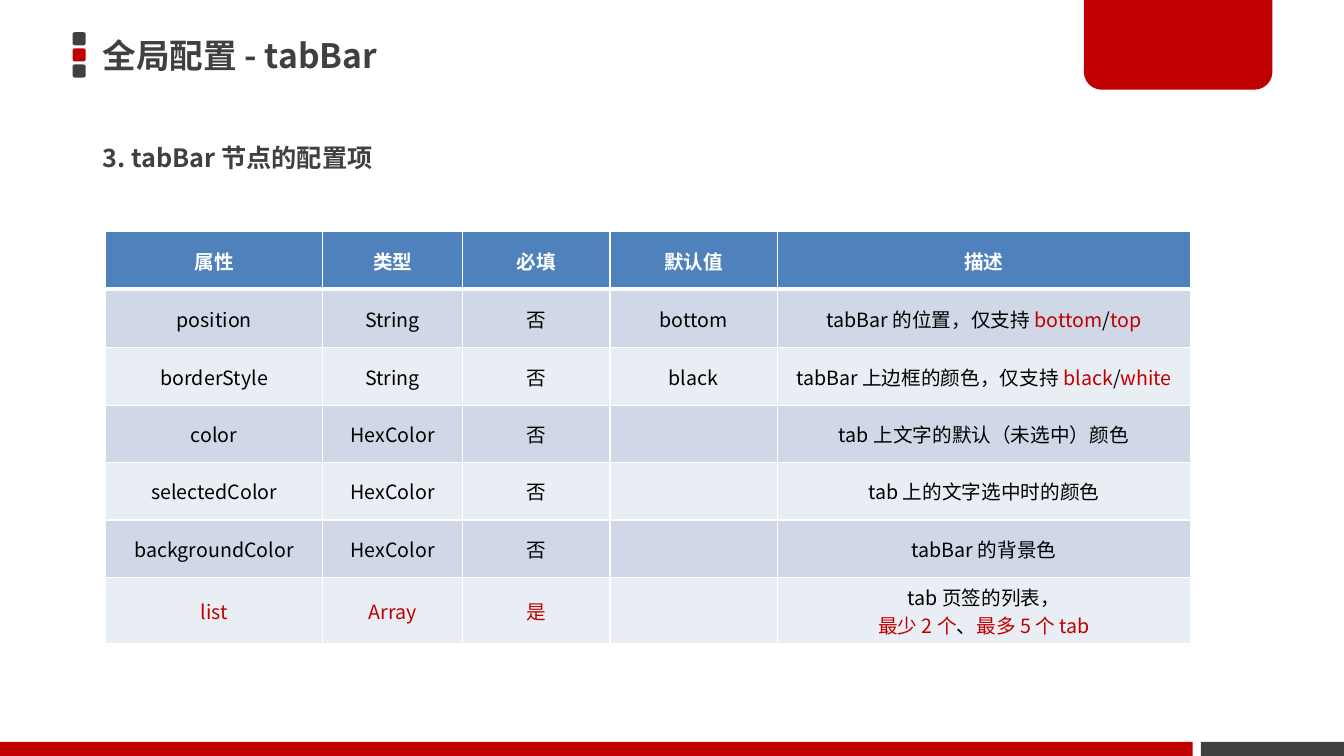
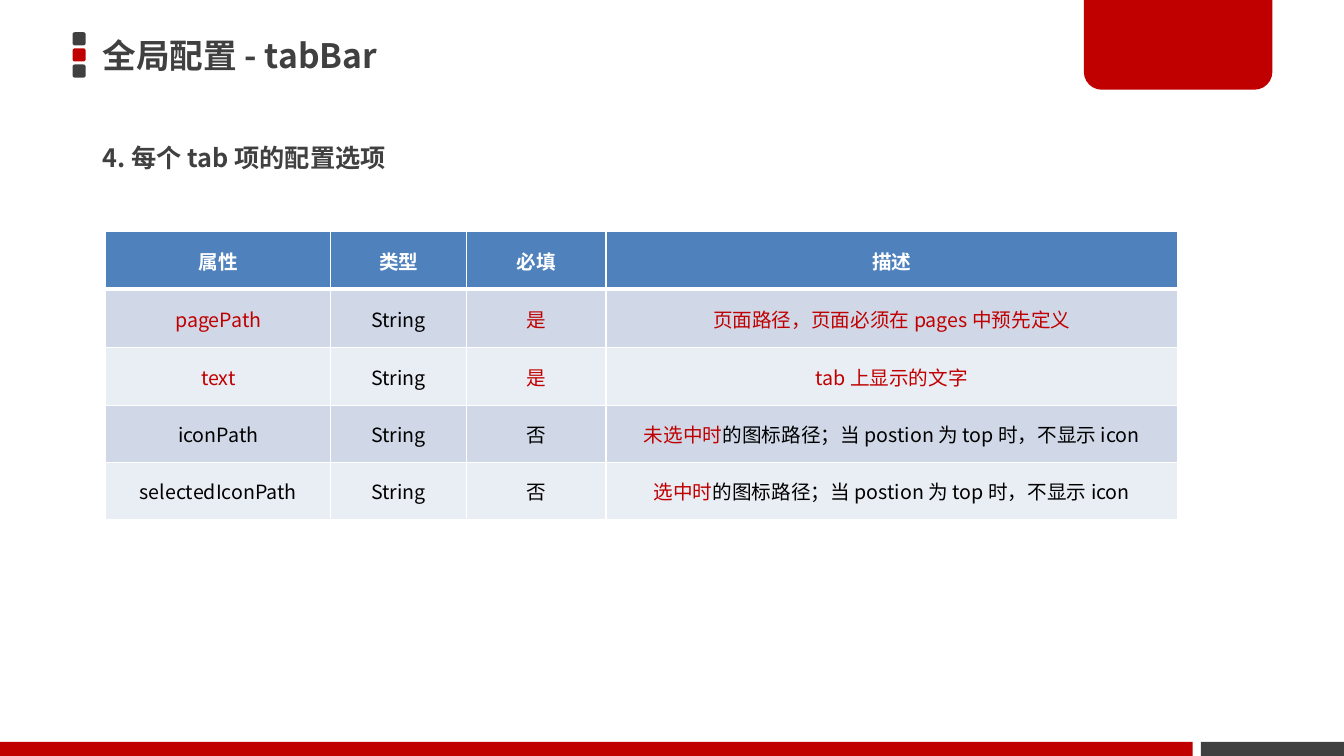
from lxml import etree
from pptx import Presentation
from pptx.dml.color import RGBColor
from pptx.enum import shapes, text
from pptx.oxml import ns
from pptx.util import Inches, Pt

RED = RGBColor(0xC0, 0x00, 0x00)
DARK = RGBColor(0x40, 0x40, 0x40)
WHITE = RGBColor(0xFF, 0xFF, 0xFF)
BLACK = RGBColor(0x00, 0x00, 0x00)
HEADER_BLUE = RGBColor(0x4F, 0x81, 0xBD)
ROW_BANDS = (RGBColor(0xD0, 0xD8, 0xE8), RGBColor(0xE9, 0xED, 0xF4))

FONT_JP = "Noto Sans CJK JP"
FONT_SC = "Noto Sans CJK SC"
SLIDE_W, SLIDE_H = 13.33, 7.5
ROW_H, FIRST_ROW_H, TWO_LINE_ROW_H = 0.57, 0.58, 0.66
LATIN_COLUMNS = ("属性", "类型", "默认值")

# Text between asterisks is red; a line break starts a new paragraph.
# Each body row names the font of its Latin columns.
TABS = [
    {
        "heading": "3. tabBar 节点的配置项",
        "widths": (2.15, 1.39, 1.46, 1.66, 4.1),
        "header": ("属性", "类型", "必填", "默认值", "描述"),
        "rows": [
            (FONT_JP, ("position", "String", "否", "bottom",
                       "tabBar 的位置，仅支持 *bottom*/*top*")),
            (FONT_SC, ("borderStyle", "String", "否", "black",
                       "tabBar 上边框的颜色，仅支持 *black*/*white*")),
            (FONT_SC, ("color", "HexColor", "否", "", "tab 上文字的默认（未选中）颜色")),
            (FONT_SC, ("selectedColor", "HexColor", "否", "", "tab 上的文字选中时的颜色")),
            (FONT_SC, ("backgroundColor", "HexColor", "否", "", "tabBar 的背景色")),
            (FONT_JP, ("*list*", "*Array*", "*是*", "",
                       "tab 页签的列表，\n*最少 2 个*、*最多 5 个 tab*")),
        ],
    },
    {
        "heading": "4. 每个 tab 项的配置选项",
        "widths": (2.23, 1.35, 1.38, 5.67),
        "header": ("属性", "类型", "必填", "描述"),
        "rows": [
            (FONT_JP, ("*pagePath*", "String", "*是*",
                       "*页面路径，页面必须在 pages 中预先定义*")),
            (FONT_SC, ("*text*", "String", "*是*", "*tab 上显示的文字*")),
            (FONT_SC, ("iconPath", "String", "否",
                       "*未选中时*的图标路径；当 postion 为 top 时，不显示 icon")),
            (FONT_SC, ("selectedIconPath", "String", "否",
                       "*选中时*的图标路径；当 postion 为 top 时，不显示 icon")),
        ],
    },
]


def add_span(para, words, size, color, bold=False, font=FONT_JP):
    span = para.add_run()
    span.text = words
    span.font.size = Pt(size)
    span.font.bold = bold
    span.font.color.rgb = color
    span.font.name = font
    east_asian = etree.SubElement(span.font._element, ns.qn("a:ea"))
    east_asian.set("typeface", font)


def add_block(page, kind, left, top, width, height, color):
    block = page.shapes.add_shape(
        kind, Inches(left), Inches(top), Inches(width), Inches(height))
    block.shadow.inherit = False
    block.fill.solid()
    block.fill.fore_color.rgb = color
    block.line.fill.background()
    return block


def add_frame(page):
    """Title marker, corner tab and footer band."""
    kinds = shapes.MSO_SHAPE
    for i, color in enumerate((DARK, RED, DARK)):
        add_block(page, kinds.ROUNDED_RECTANGLE, 0.72, 0.32 + 0.16 * i, 0.13, 0.13, color)

    corner = add_block(page, kinds.ROUND_2_SAME_RECTANGLE, 10.75, 0, 1.87, 0.89, RED)
    corner.adjustments[0] = 0
    corner.adjustments[1] = 0.2

    band_h = 0.14
    for left, right, color in ((0, 11.83, RED), (11.91, SLIDE_W, DARK)):
        add_block(page, kinds.RECTANGLE, left, SLIDE_H - band_h, right - left, band_h, color)


def add_heading(page, words, top, width, size):
    box = page.shapes.add_textbox(Inches(0.92), Inches(top), Inches(width), Inches(0.57))
    frame = box.text_frame
    frame.word_wrap = True
    frame.vertical_anchor = text.MSO_ANCHOR.MIDDLE
    add_span(frame.paragraphs[0], words, size, DARK, bold=True)


def set_borders(cell, top=1, bottom=1):
    """White cell borders, widths in points; they precede the fill."""
    properties = cell._tc.get_or_add_tcPr()
    sides = (("L", 1), ("R", 1), ("T", top), ("B", bottom))
    for i, (side, width) in enumerate(sides):
        line = etree.Element(ns.qn("a:ln" + side), w=str(Pt(width)))
        fill = etree.SubElement(line, ns.qn("a:solidFill"))
        etree.SubElement(fill, ns.qn("a:srgbClr"), val=str(WHITE))
        properties.insert(i, line)


def fill_cell(cell, words, fill, color, bold, font):
    cell.fill.solid()
    cell.fill.fore_color.rgb = fill
    cell.vertical_anchor = text.MSO_ANCHOR.MIDDLE
    frame = cell.text_frame
    for i, line in enumerate(words.split("\n")):
        para = frame.add_paragraph() if i else frame.paragraphs[0]
        para.alignment = text.PP_ALIGN.CENTER
        for j, part in enumerate(line.split("*")):
            if part:
                add_span(para, part, 14, RED if j % 2 else color, bold, font)


def body_row_height(index, row_words):
    if any("\n" in words for words in row_words):
        return TWO_LINE_ROW_H
    return ROW_H if index else FIRST_ROW_H


def add_option_table(page, left, top, widths, header, rows):
    heights = [ROW_H] + [body_row_height(i, row_words)
                         for i, (_, row_words) in enumerate(rows)]
    table = page.shapes.add_table(
        len(heights), len(widths), Inches(left), Inches(top),
        Inches(sum(widths)), Inches(sum(heights))).table
    for column, width in zip(table.columns, widths):
        column.width = Inches(width)
    for row, height in zip(table.rows, heights):
        row.height = Inches(height)

    # Header row
    for c, words in enumerate(header):
        cell = table.cell(0, c)
        fill_cell(cell, words, HEADER_BLUE, WHITE, True, FONT_JP)
        set_borders(cell, bottom=3)

    # Banded body rows
    for r, (latin_font, row_words) in enumerate(rows, 1):
        for c, words in enumerate(row_words):
            cell = table.cell(r, c)
            font = latin_font if header[c] in LATIN_COLUMNS else FONT_JP
            fill_cell(cell, words, ROW_BANDS[(r - 1) % 2], BLACK, False, font)
            set_borders(cell, top=3 if r == 1 else 1)


def add_option_page(deck, heading, widths, header, rows):
    page = deck.slides.add_slide(deck.slide_layouts[6])
    add_frame(page)
    add_heading(page, "全局配置 - tabBar", 0.26, 9.59, 24)
    add_heading(page, heading, 1.28, 10.77, 18)
    add_option_table(page, 1.05, 2.3, widths, header, rows)


def main():
    deck = Presentation()
    deck.slide_width = Inches(SLIDE_W)
    deck.slide_height = Inches(SLIDE_H)
    for tab in TABS:
        add_option_page(deck, **tab)
    deck.save("out.pptx")


if __name__ == "__main__":
    main()
